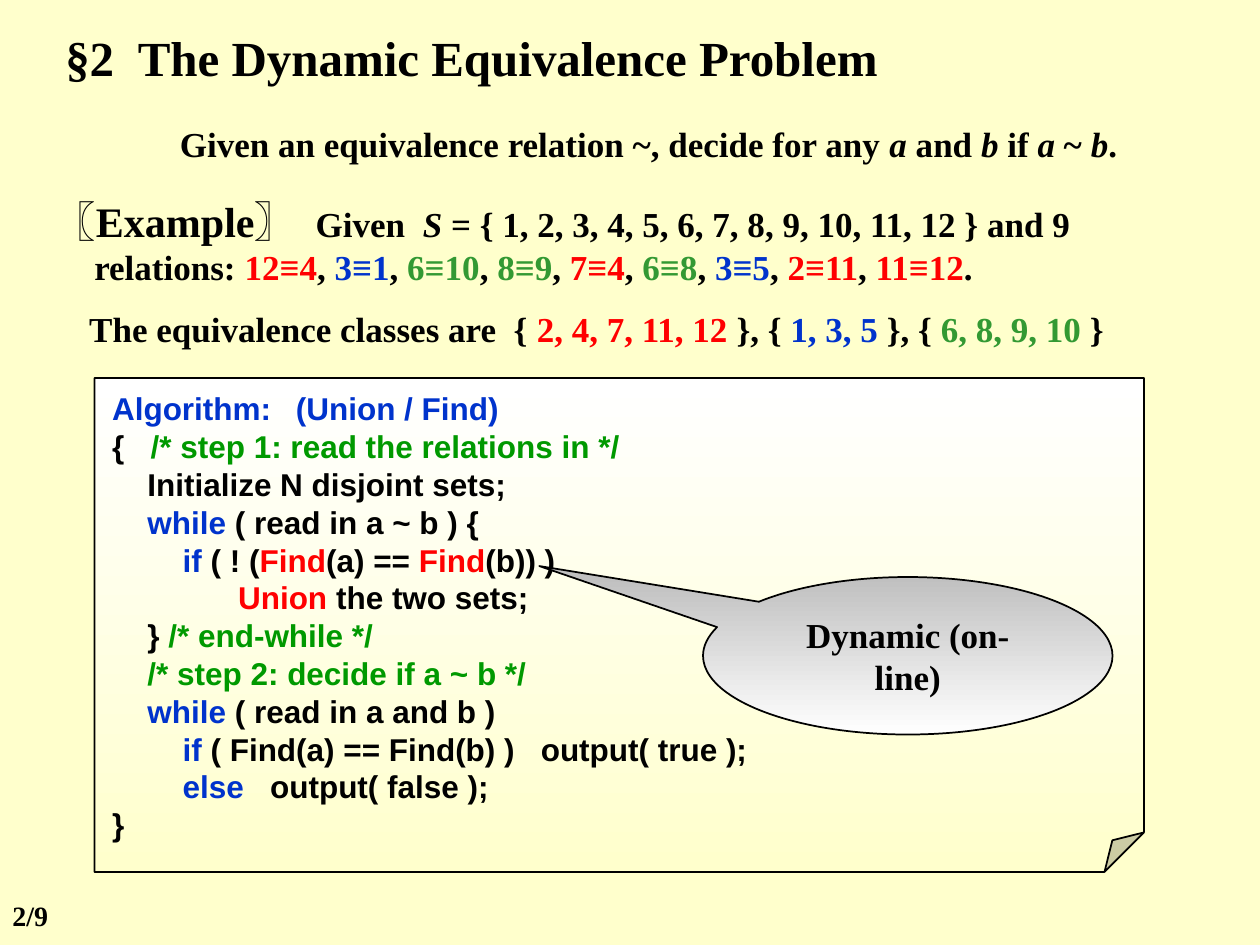
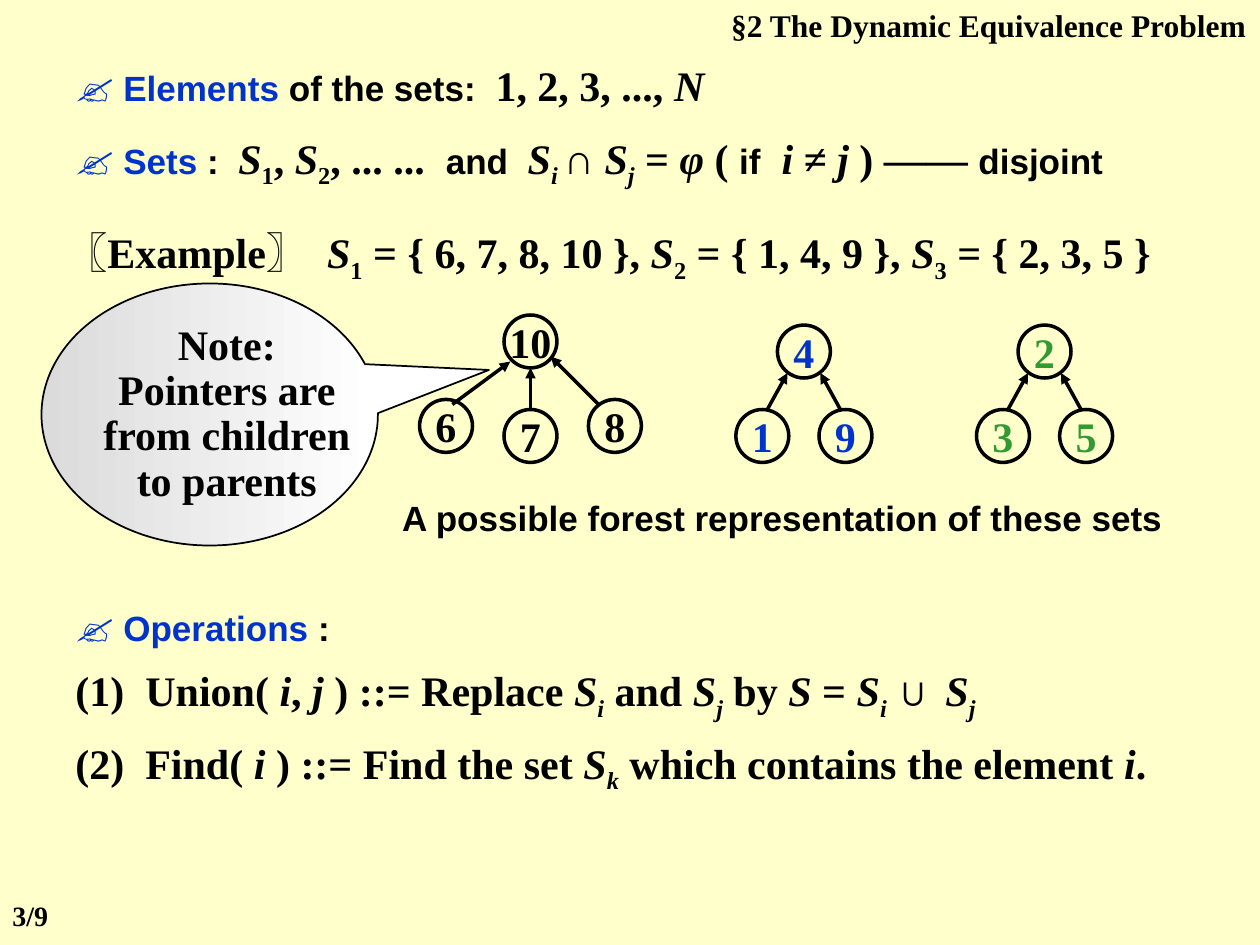
from lxml import etree
from pptx import Presentation
from pptx.dml.color import RGBColor
from pptx.enum.shapes import MSO_CONNECTOR, MSO_SHAPE
from pptx.enum.text import MSO_ANCHOR, PP_ALIGN
from pptx.oxml.ns import qn
from pptx.util import Inches, Pt

LEFT, CENTER, RIGHT = PP_ALIGN.LEFT, PP_ALIGN.CENTER, PP_ALIGN.RIGHT
TOP, MIDDLE = MSO_ANCHOR.TOP, MSO_ANCHOR.MIDDLE
ELLIPSE, FOLDED = MSO_SHAPE.OVAL, MSO_SHAPE.FOLDED_CORNER
CALLOUT = MSO_SHAPE.OVAL_CALLOUT
STRAIGHT = MSO_CONNECTOR.STRAIGHT

# Theme: colours and named text styles; a span may combine several styles
COLORS = {"paper": "FFFFCC", "black": "000000", "white": "FFFFFF", "red": "FF0000",
          "blue": "0033CC", "green": "339933", "comment": "009900",
          "silver": "C0C0C0", "mist": "DBDBDB"}
SERIF, SANS = "Times New Roman", "Arial"
STYLES = {
    "title": {"name": SERIF, "size": 28},
    "header": {"name": SERIF, "size": 18},
    "footer": {"name": SERIF, "size": 16},
    "body": {"name": SERIF, "size": 20},
    "large": {"name": SERIF, "size": 24},
    "label": {"name": SANS, "size": 20},
    "icon": {"name": SANS, "size": 24, "color": "blue"},
    "code": {"name": SANS, "size": 18},
    "italic": {"italic": True},
    "sub": {"baseline": -25000},
    **{color: {"color": color} for color in ("red", "blue", "green", "comment")},
}

# ---- Content: a paragraph is a list of spans, plain text or (text, styles)
EXAMPLE = "〖Example〗  "


def indexed(index, styles="sub"):
    return [("S", "italic"), (index, styles)]


def topic(name):
    return [("✍", "icon"), (f" {name}", "label blue")]


QUESTION = ["Given an equivalence relation ~, decide for any ", ("a", "italic"), " and ",
            ("b", "italic"), " if ", ("a", "italic"), " ~ ", ("b", "italic"), "."]

RELATIONS = [("12≡4", "red"), ("3≡1", "blue"), ("6≡10", "green"), ("8≡9", "green"),
             ("7≡4", "red"), ("6≡8", "green"), ("3≡5", "blue"), ("2≡11", "red"),
             ("11≡12", "red")]
GIVEN = [(EXAMPLE, "large"), "Given  ", ("S", "italic"),
         " = { 1, 2, 3, 4, 5, 6, 7, 8, 9, 10, 11, 12 } and 9 relations: "]
for relation in RELATIONS:
    GIVEN += [relation, ", "]
GIVEN[-1] = "."
CLASSES = ["The equivalence classes are  { ", ("2, 4, 7, 11, 12 ", "red"), "}, { ",
           ("1, 3, 5", "blue"), " }, { ", ("6, 8, 9, 10", "green"), " }"]

# Algorithm lines: indent in inches, spans
CODE = [
    (0, [("Algorithm:", "blue")]),
    (0, ["{   ", ("/* step 1: read the relations in */", "comment")]),
    (0.28, ["Initialize N disjoint sets;"]),
    (0.28, [("while", "blue"), " ( read in a ~ b ) {"]),
    (0.56, [("if", "blue"), " ( ! (", ("Find", "red"), "(a) == ", ("Find", "red"), "(b)) )"]),
    (1, [("Union", "red"), " the two sets;"]),
    (0.28, ["} ", ("/* end-while */", "comment")]),
    (0.28, [("/* step 2: decide if a ~ b */", "comment")]),
    (0.28, [("while", "blue"), " ( read in a and b )"]),
    (0.56, [("if", "blue"), " ( Find(a) == Find(b) )   output( true );"]),
    (0.56, [("else   ", "blue"), "output( false );"]),
    (0, ["}"]),
]

ELEMENTS = [*topic("Elements"), (" of the sets:  ", "label"), "1, 2, 3, ..., ", ("N", "italic")]
SETS = [*topic("Sets "), (":  ", "label"), *indexed("1"), ", ", *indexed("2"), ", ... ...  ",
        ("and  ", "label"), *indexed("i ", "italic sub"), "∩ ", *indexed("j", "italic sub"),
        " = ", ("φ", "italic"), " ( ", ("if", "label"), "  ", ("i ", "italic"), "≠ ",
        ("j", "italic"), " ) —— ", ("disjoint", "label")]
SET_EXAMPLE = [EXAMPLE, *indexed("1"), " = { 6, 7, 8, 10 }, ", *indexed("2"),
               " = { 1, 4, 9 }, ", *indexed("3"), " = { 2, 3, 5 }"]
OPERATIONS = [
    [*topic("Operations "), (":", "label")],
    ["(1)  Union( ", ("i", "italic"), ", ", ("j ", "italic"), ") ::= Replace ",
     *indexed("i", "italic sub"), " and ", *indexed("j", "italic sub"), " by ",
     ("S", "italic"), " = ", *indexed("i ", "italic sub"), "∪ ", *indexed("j", "italic sub")],
    ["(2)  Find( ", ("i", "italic"), " ) ::= Find the set ", *indexed("k", "italic sub"),
     " which contains the element ", ("i", "italic"), "."],
]
NOTE = ["Note:", "Pointers are", "from children", "to parents"]

# Branches from a root: child offset, arrow tip from root centre, tail from child centre
PAIR = [((-0.33, 0.67), (-0.13, 0.17), (0.04, -0.21)),
        ((0.33, 0.67), (0.13, 0.17), (-0.04, -0.21))]
TRIPLE = [((-0.67, 0.67), (-0.16, 0.16), (0.05, -0.17)),
          ((0, 0.75), (0, 0.21), (0, -0.21)),
          ((0.67, 0.67), (0.16, 0.12), (-0.13, -0.17))]
# Trees: root centre, colour, root label, child labels, branches
FOREST = [((4.21, 2.71), "black", "10", ["6", "7", "8"], TRIPLE),
          ((6.38, 2.79), "blue", "4", ["1", "9"], PAIR),
          ((8.29, 2.79), "green", "2", ["3", "5"], PAIR)]
NODE = 0.42


# ---- Helpers
def rgb(name):
    return RGBColor.from_string(COLORS[name])


def set_all(target, values):
    for name, value in values.items():
        setattr(target, name, value)


def add_span(para, text, styles):
    look = {"color": "black", "italic": False}
    for style in styles.split():
        look.update(STYLES[style])
    span = para.add_run()
    span.text = text
    set_all(span.font, {"name": look["name"], "size": Pt(look["size"]),
                        "bold": True, "italic": look["italic"]})
    span.font.color.rgb = rgb(look["color"])
    if "baseline" in look:
        span._r.get_or_add_rPr().set("baseline", str(look["baseline"]))


def write(box, paras, style, frame=None, indents=None, **layout):
    """Fill a box; indents gives (left margin, first-line shift) per paragraph."""
    set_all(box.text_frame, {"word_wrap": True, **(frame or {})})
    for index, spans in enumerate(paras):
        para = box.text_frame.paragraphs[0] if index == 0 else box.text_frame.add_paragraph()
        set_all(para, {"alignment": LEFT, **layout})
        if index == 0:
            para.space_before = Pt(0)
        if indents:
            margin, shift = indents[index]
            properties = para._p.get_or_add_pPr()
            properties.set("marL", str(Inches(margin)))
            properties.set("indent", str(Inches(shift)))
        for item in spans:
            text, extra = (item, "") if isinstance(item, str) else item
            add_span(para, text, f"{style} {extra}")


def add_text(page, place, paras, style, **options):
    write(page.shapes.add_textbox(*map(Inches, place)), paras, style, **options)


def add_outline(page, kind, place, width, gradient=None, angle=0, adjust=None):
    box = page.shapes.add_shape(kind, *map(Inches, place))
    box.shadow.inherit = False
    box.line.color.rgb = rgb("black")
    box.line.width = Pt(width)
    if adjust:
        guides = box._element.spPr.find(qn("a:prstGeom")).get_or_add_avLst()
        for guide in list(guides):
            guides.remove(guide)
        for name, value in adjust.items():
            etree.SubElement(guides, qn("a:gd"), name=name, fmla=f"val {round(value * 100000)}")
    if gradient:
        box.fill.gradient()
        box.fill.gradient_angle = angle
        for stop, color in zip(box.fill.gradient_stops, gradient):
            stop.color.rgb = rgb(color)
    else:
        box.fill.background()
    return box


def add_node(page, center, label, color):
    x, y = center
    box = add_outline(page, ELLIPSE, (x - NODE / 2, y - NODE / 2, NODE, NODE), 2)
    write(box, [[label]], "large" if color == "black" else f"large {color}",
          frame={"word_wrap": False, "vertical_anchor": MIDDLE}, alignment=CENTER)


def add_pointer(page, tip, tail):
    line = page.shapes.add_connector(STRAIGHT, *map(Inches, (*tip, *tail)))
    line.line.color.rgb = rgb("black")
    line.line.width = Pt(2)
    etree.SubElement(line.line._get_or_add_ln(), qn("a:headEnd"), type="triangle")
    etree.SubElement(line._element.spPr, qn("a:effectLst"))


def shifted(point, offset):
    return point[0] + offset[0], point[1] + offset[1]


def add_tree(page, root, color, label, children, branches):
    add_node(page, root, label, color)
    for child, (offset, tip, tail) in zip(children, branches):
        center = shifted(root, offset)
        add_node(page, center, child, color)
        add_pointer(page, shifted(root, tip), shifted(center, tail))


def add_page(deck, number):
    page = deck.slides.add_slide(deck.slide_layouts[6])
    page.background.fill.solid()
    page.background.fill.fore_color.rgb = rgb("paper")
    add_text(page, (0, 7.08, 0.92, 0.37), [[f"{number}/9"]], "footer")
    return page


deck = Presentation()
deck.slide_width, deck.slide_height = Inches(10), Inches(7.5)

# ---- Slide 1: the problem and its algorithm
page = add_page(deck, 2)
add_text(page, (0.42, 0.17, 7, 0.57), [["§2  The Dynamic Equivalence Problem"]], "title")
add_text(page, (1.33, 0.92, 7.83, 0.43), [QUESTION], "body")
add_text(page, (0.33, 1.5, 9, 1.33), [GIVEN, CLASSES], "body",
         indents=[(0.32, -0.32), (0.32, -0.04)], space_before=Pt(11.5))
sheet = add_outline(page, FOLDED, (0.75, 3, 8.33, 3.92), 1, ("white", "paper"), 270,
                    {"adj": 0.08})
write(sheet, [spans for _, spans in CODE], "code",
      frame={"vertical_anchor": TOP, "margin_left": Inches(0.14), "margin_top": Inches(0.09)},
      indents=[(indent, 0) for indent, _ in CODE])
add_text(page, (2.25, 3.04, 1.92, 0.4), [["(Union / Find)"]], "code blue")
bubble = add_outline(page, CALLOUT, (5.58, 4.58, 3.25, 1.25), 1, ("silver", "white"), 270,
                     {"adj1": -0.9, "adj2": -0.57})
write(bubble, [["Dynamic (on-line)"]], "body", frame={"vertical_anchor": MIDDLE},
      alignment=CENTER)

# ---- Slide 2: sets, forest and operations
page = add_page(deck, 3)
add_text(page, (5.08, 0, 4.91, 0.4), [["§2 The Dynamic Equivalence Problem"]], "header",
         alignment=RIGHT)
add_text(page, (0.5, 0.42, 6.33, 0.5), [ELEMENTS], "large")
add_text(page, (0.5, 1, 8.5, 0.5), [SETS], "large")
add_text(page, (0.42, 1.75, 9.08, 0.5), [SET_EXAMPLE], "large")
for tree in FOREST:
    add_tree(page, *tree)
add_text(page, (2.75, 3.93, 6.92, 0.4), [["A possible forest representation of these sets"]],
         "label", alignment=CENTER, line_spacing=0.9)
bubble = add_outline(page, CALLOUT, (0.33, 2.25, 2.67, 2.08), 1, ("mist", "white"), 0,
                     {"adj1": 0.83, "adj2": -0.17})
write(bubble, [[line] for line in NOTE], "large",
      frame={"word_wrap": False, "vertical_anchor": MIDDLE, "margin_left": Inches(0.37)},
      alignment=CENTER, line_spacing=0.9)
add_text(page, (0.5, 4.71, 8.75, 1.54), OPERATIONS, "large", space_after=Pt(8.5))

deck.save("out.pptx")
